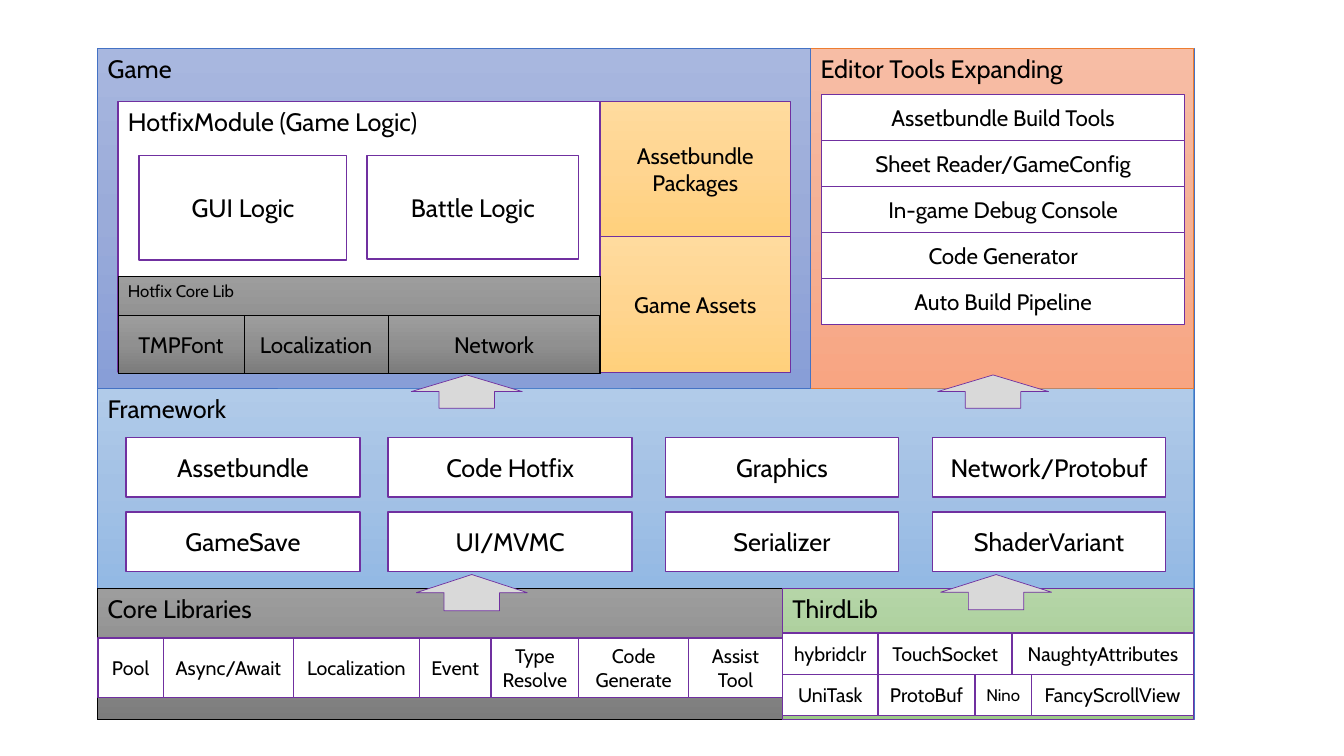
from copy import deepcopy

from pptx import Presentation
from pptx.dml.color import RGBColor
from pptx.enum.shapes import MSO_SHAPE
from pptx.enum.text import MSO_ANCHOR, PP_ALIGN
from pptx.oxml.ns import qn
from pptx.util import Inches, Pt

RECTANGLE = MSO_SHAPE.RECTANGLE
UP_ARROW = MSO_SHAPE.UP_ARROW
TOP, MIDDLE = MSO_ANCHOR.TOP, MSO_ANCHOR.MIDDLE
LEFT, CENTER = PP_ALIGN.LEFT, PP_ALIGN.CENTER

FONT = "Cabin"
BLACK, WHITE, PURPLE, BLUE = "000000", "FFFFFF", "7030A0", "4472C4"
ORANGE, SKY, SILVER = "ED7D31", "5B9BD5", "D9D9D9"
GRAY_SHADES = ("9D9D9D", "909090", "7C7C7C")
GREEN_SHADES = ("B5D5A7", "AACE9A", "9CC987")
SKY_SHADES = ("B1CBE9", "A3C1E5", "93B9E4")
BLUE_SHADES = ("A8B7DF", "9AABD9", "889ED7")
CORAL_SHADES = ("F7BDA5", "F5B196", "F8A582")
YELLOW_SHADES = ("FFDB9E", "FFD590", "FFD07C")


def rgb(color):
    return RGBColor.from_string(color)


def fill_gradient(shape, shades):
    """Fill from top to bottom with three evenly spaced shades."""
    shape.fill.gradient()
    shape.fill.gradient_angle = 270
    stop_list = shape._element.spPr.find(qn("a:gradFill")).find(qn("a:gsLst"))
    stop_list.insert(1, deepcopy(stop_list[0]))
    for index, (stop, shade) in enumerate(zip(shape.fill.gradient_stops, shades)):
        stop.position = index / 2
        stop.color.rgb = rgb(shade)


def add_block(slide, frame, fill, line, line_width, kind=RECTANGLE):
    """Add a shape; fill is one colour, three gradient shades or None."""
    shape = slide.shapes.add_shape(kind, *(Inches(length) for length in frame))
    shape.shadow.inherit = False
    if fill is None:
        shape.fill.background()
    elif isinstance(fill, tuple):
        fill_gradient(shape, fill)
    else:
        shape.fill.solid()
        shape.fill.fore_color.rgb = rgb(fill)
    shape.line.color.rgb = rgb(line)
    shape.line.width = Pt(line_width)
    return shape


def write(shape, text, size, anchor, alignment):
    frame = shape.text_frame
    frame.word_wrap = True
    frame.vertical_anchor = anchor
    paragraph = frame.paragraphs[0]
    paragraph.alignment = alignment
    run = paragraph.add_run()
    run.text = text
    run.font.size = Pt(size)
    run.font.name = FONT
    run.font.color.rgb = rgb(BLACK)


def add_panel(slide, frame, heading, fill, line, size=18, line_width=0.5):
    shape = add_block(slide, frame, fill, line, line_width)
    write(shape, heading, size, TOP, LEFT)


def add_module(slide, frame, label, size, fill=WHITE, line=PURPLE, line_width=1):
    shape = add_block(slide, frame, fill, line, line_width)
    write(shape, label, size, MIDDLE, CENTER)


def add_module_row(slide, left, top, height, modules, **style):
    """Place (label, width, size) modules side by side without gaps."""
    for label, width, size in modules:
        add_module(slide, (left, top, width, height), label, size, **style)
        left += width


def add_framework(slide):
    add_panel(slide, (0.97, 3.85, 10.87, 1.99), "Framework", SKY_SHADES, SKY)
    columns = [
        (1.25, 2.32, ("Assetbundle", "GameSave")),
        (3.85, 2.42, ("Code Hotfix", "UI/MVMC")),
        (6.6, 2.31, ("Graphics", "Serializer")),
        (9.25, 2.31, ("Network/Protobuf", "ShaderVariant")),
    ]
    for left, width, labels in columns:
        for row, label in enumerate(labels):
            add_module(slide, (left, 4.34 + row * 0.74, width, 0.59), label, 18)


def add_libraries(slide):
    add_panel(slide, (0.97, 5.84, 6.79, 1.3), "Core Libraries", GRAY_SHADES, BLACK)
    add_module_row(slide, 0.97, 6.33, 0.59, [
        ("Pool", 0.65, 14), ("Async/Await", 1.29, 14), ("Localization", 1.25, 14),
        ("Event", 0.71, 14), ("Type Resolve", 0.87, 14),
        ("Code Generate", 1.09, 14), ("Assist Tool", 0.93, 14),
    ])
    add_panel(slide, (7.76, 5.84, 4.08, 1.3), "ThirdLib", GREEN_SHADES, PURPLE)
    add_module_row(slide, 7.76, 6.28, 0.41, [
        ("hybridclr", 0.95, 14), ("TouchSocket", 1.33, 14),
        ("NaughtyAttributes", 1.8, 14),
    ])
    add_module_row(slide, 7.76, 6.69, 0.41, [
        ("UniTask", 0.95, 14), ("ProtoBuf", 0.96, 14), ("Nino", 0.56, 12),
        ("FancyScrollView", 1.61, 14),
    ])


def add_editor_tools(slide):
    add_panel(slide, (8.04, 0.48, 3.8, 3.37), "Editor Tools Expanding",
              CORAL_SHADES, ORANGE)
    tools = ["Assetbundle Build Tools", "Sheet Reader/GameConfig",
             "In-game Debug Console", "Code Generator", "Auto Build Pipeline"]
    for row, tool in enumerate(tools):
        add_module(slide, (8.15, 0.94 + row * 0.456, 3.6, 0.456), tool, 16)


def add_game(slide):
    add_panel(slide, (0.97, 0.48, 7.07, 3.37), "Game", BLUE_SHADES, BLUE)
    for row, label in enumerate(["Assetbundle Packages", "Game Assets"]):
        add_module(slide, (5.95, 1.01 + row * 1.34, 1.89, 1.34), label, 16,
                   fill=YELLOW_SHADES, line_width=0.5)
    add_panel(slide, (1.17, 1.01, 4.78, 2.68), "HotfixModule (Game Logic)",
              WHITE, PURPLE, line_width=1)
    add_module(slide, (1.38, 1.54, 2.06, 1.04), "GUI Logic", 18)
    add_module(slide, (3.64, 1.54, 2.1, 1.03), "Battle Logic", 18)
    add_panel(slide, (1.17, 2.74, 4.78, 0.96), "Hotfix Core Lib",
              GRAY_SHADES, BLACK, size=12)
    add_module_row(slide, 1.17, 3.13, 0.57, [
        ("TMPFont", 1.25, 16), ("Localization", 1.43, 16), ("Network", 2.1, 16),
    ], fill=GRAY_SHADES, line=BLACK, line_width=0.5)


def add_arrows(slide):
    for left, top, height in [(4.13, 5.7, 0.36), (9.33, 5.7, 0.35),
                              (4.08, 3.72, 0.33), (9.3, 3.72, 0.33)]:
        add_block(slide, (left, top, 1.1, height), SILVER, PURPLE, 0.5, UP_ARROW)


def main():
    presentation = Presentation()
    presentation.slide_width = Inches(13.33)
    presentation.slide_height = Inches(7.5)
    blank_layout = presentation.slide_layouts[6]
    slide = presentation.slides.add_slide(blank_layout)
    add_framework(slide)
    add_block(slide, (0.97, 0.48, 10.88, 6.66), None, BLUE, 0.75)
    add_libraries(slide)
    add_editor_tools(slide)
    add_game(slide)
    add_arrows(slide)
    presentation.save("out.pptx")


if __name__ == "__main__":
    main()
